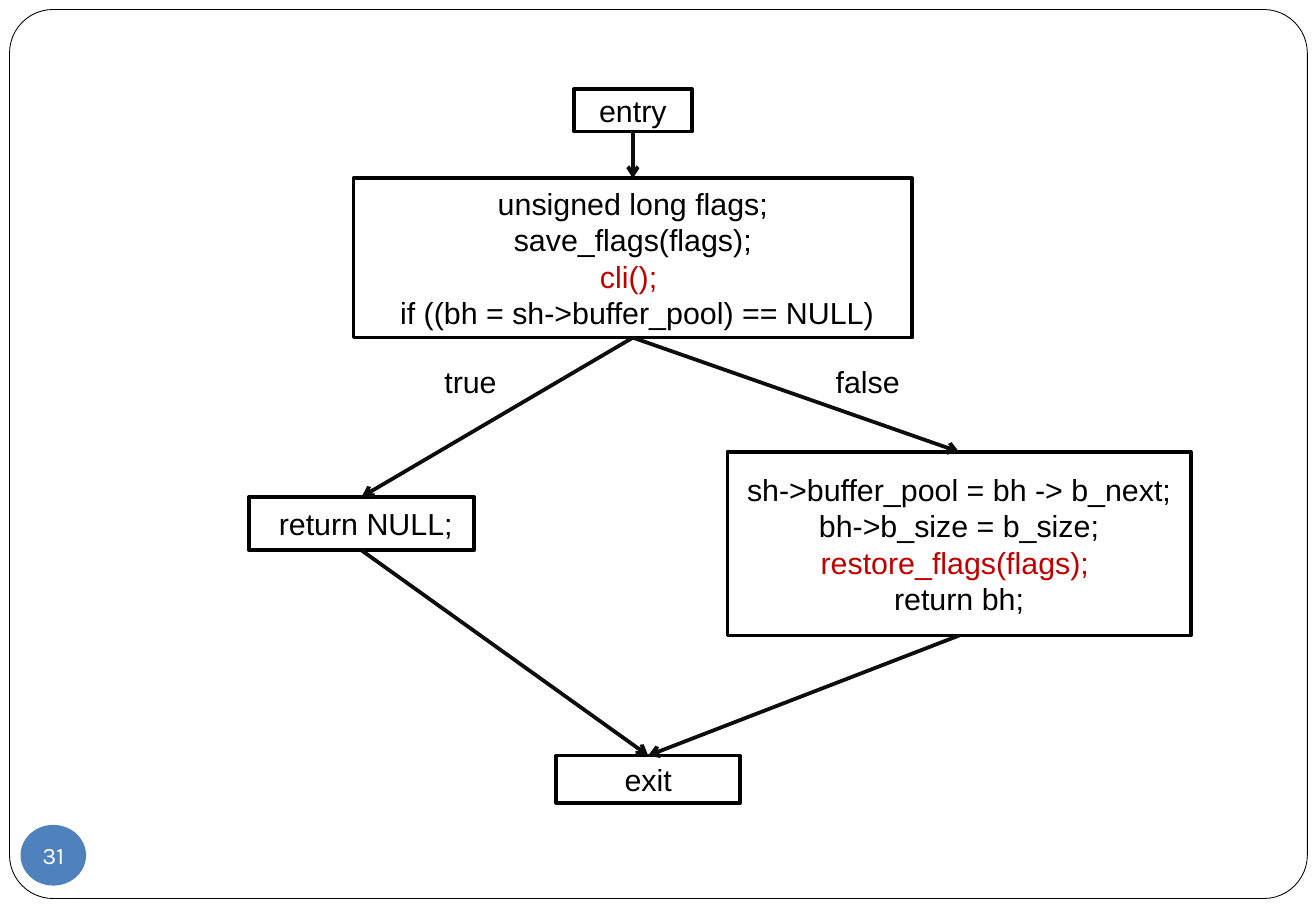
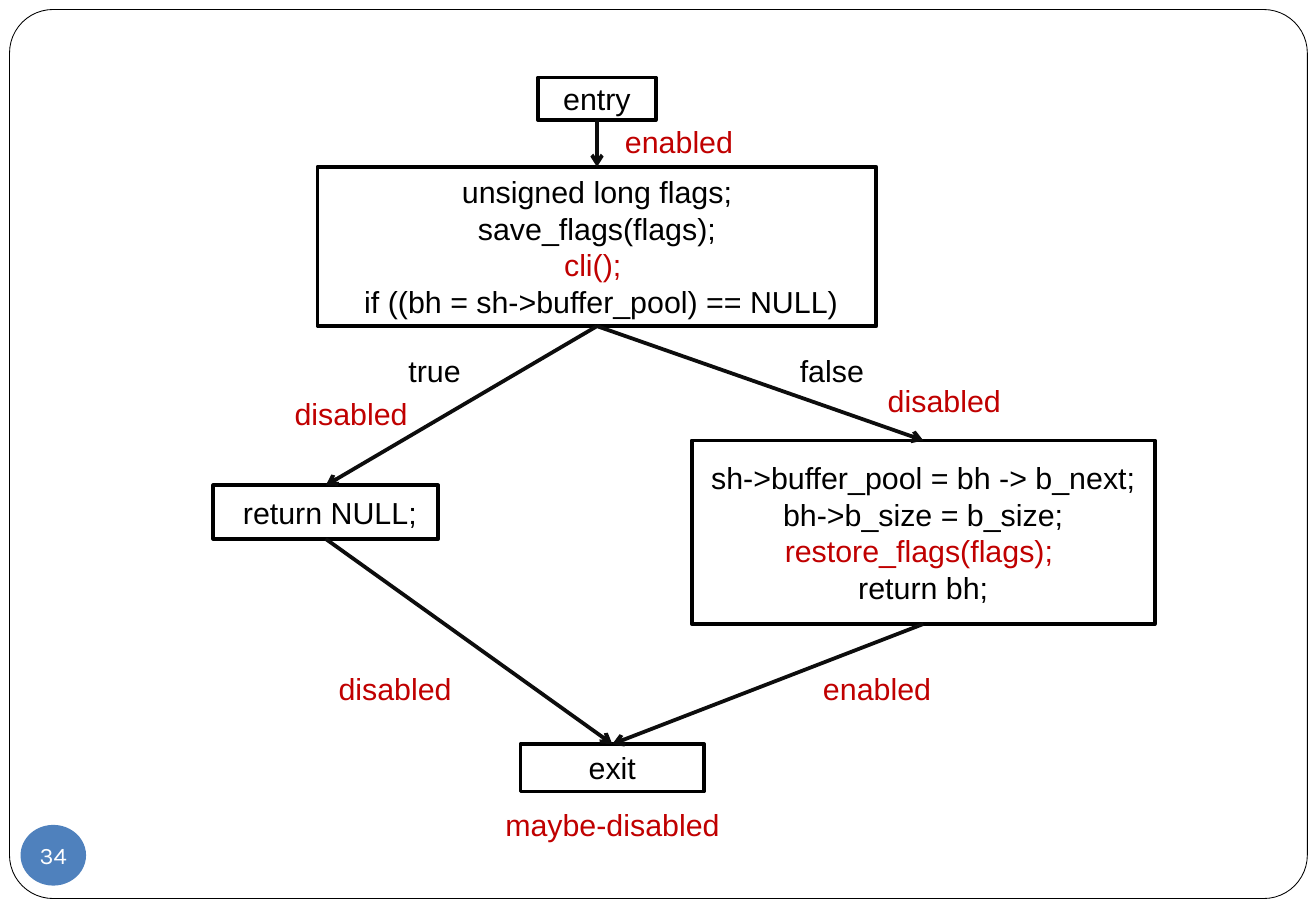
from dataclasses import dataclass

from lxml import etree
from pptx import Presentation
from pptx.dml.color import RGBColor
from pptx.enum import shapes, text
from pptx.oxml import ns
from pptx.shapes.autoshape import Shape
from pptx.slide import Slide
from pptx.text.text import TextFrame
from pptx.util import Cm, Pt

WHITE = RGBColor(0xFF, 0xFF, 0xFF)
BLACK = RGBColor(0x00, 0x00, 0x00)
ARROW = RGBColor(0x0D, 0x0D, 0x0D)
RED = RGBColor(0xC0, 0x00, 0x00)
BLUE = RGBColor(0x4F, 0x81, 0xBD)

CODE_FONT = "Arial"
NUMBER_FONT = "Karla"
LINE_WIDTH = Pt(2.25)
LABEL_HEIGHT = 1.02
TOP, BOTTOM = 0, 2
CENTER, LEFT = text.PP_ALIGN.CENTER, text.PP_ALIGN.LEFT


@dataclass(frozen=True)
class Block:
    """A box of code; lengths are in centimetres."""
    name: str
    left: float
    top: float
    width: float
    height: float
    lines: tuple[str, ...]
    red_line: int | None = None


@dataclass(frozen=True)
class Label:
    words: str
    left: float
    top: float
    width: float
    color: RGBColor = RED
    alignment: text.PP_ALIGN = CENTER


@dataclass(frozen=True)
class FlowSlide:
    number: int
    shift_x: float = 0
    shift_y: float = 0
    states: tuple[Label, ...] = ()


BLOCKS = (
    Block("entry", 12.0, 1.86, 2.46, 0.89, ("entry",)),
    Block("test", 7.39, 3.73, 11.68, 3.33,
          ("unsigned long flags;", "save_flags(flags);", "cli(); ",
           " if ((bh = sh->buffer_pool) == NULL)"), red_line=2),
    Block("exit", 11.63, 15.8, 3.84, 0.99, ("exit",)),
    Block("failure", 5.21, 10.39, 4.7, 1.12, (" return NULL;",)),
    Block("success", 15.21, 9.45, 9.68, 3.84,
          ("sh->buffer_pool = bh -> b_next;", "bh->b_size = b_size;",
           "restore_flags(flags); ", "return bh;"), red_line=2),
)
FLOWS = (("entry", "test"), ("test", "failure"), ("test", "success"),
         ("failure", "exit"), ("success", "exit"))
BRANCHES = (Label("false", 17.22, 7.47, 1.85, BLACK, LEFT),
            Label("true", 9.04, 7.47, 1.63, BLACK, LEFT))
SLIDES = (
    FlowSlide(31),
    FlowSlide(34, -0.75, -0.24, (
        Label("disabled", 5.89, 8.13, 2.9),
        Label("disabled", 18.29, 7.87, 2.9),
        Label("enabled", 12.8, 2.46, 2.79),
        Label("enabled", 16.94, 13.89, 2.79),
        Label("disabled", 6.81, 13.89, 2.9),
        Label("maybe-disabled", 10.29, 16.74, 5.03),
    )),
)


def write_lines(frame: TextFrame, lines: tuple[str, ...], color: RGBColor,
                font: str = CODE_FONT, size: int = 18,
                alignment: text.PP_ALIGN = CENTER) -> None:
    frame.text = "\n".join(lines)
    for paragraph in frame.paragraphs:
        paragraph.alignment = alignment
        for run in paragraph.runs:
            run.font.name = font
            run.font.size = Pt(size)
            run.font.color.rgb = color


def add_filled_shape(slide: Slide, kind: shapes.MSO_SHAPE, left: float, top: float,
                     width: float, height: float, fill: RGBColor) -> Shape:
    shape = slide.shapes.add_shape(kind, Cm(left), Cm(top), Cm(width), Cm(height))
    shape.shadow.inherit = False
    shape.fill.solid()
    shape.fill.fore_color.rgb = fill
    return shape


def add_outlined_box(slide: Slide, left: float, top: float, width: float,
                     height: float, corner: float, line_width: Pt) -> Shape:
    shape = add_filled_shape(slide, shapes.MSO_SHAPE.ROUNDED_RECTANGLE,
                             left, top, width, height, WHITE)
    shape.adjustments[0] = corner
    shape.line.color.rgb = BLACK
    shape.line.width = line_width
    return shape


def add_block(slide: Slide, block: Block, shift_x: float, shift_y: float) -> Shape:
    shape = add_outlined_box(slide, block.left + shift_x, block.top + shift_y,
                             block.width, block.height, 0, LINE_WIDTH)
    frame = shape.text_frame
    frame.word_wrap = True
    frame.vertical_anchor = text.MSO_ANCHOR.MIDDLE
    write_lines(frame, block.lines, BLACK)
    if block.red_line is not None:
        frame.paragraphs[block.red_line].runs[0].font.color.rgb = RED
    return shape


def add_flow(slide: Slide, source: Shape, target: Shape) -> None:
    """Draw an arrow from the bottom of source to the top of target."""
    connector = slide.shapes.add_connector(shapes.MSO_CONNECTOR.STRAIGHT, 0, 0, 0, 0)
    connector.begin_connect(source, BOTTOM)
    connector.end_connect(target, TOP)
    connector.line.color.rgb = ARROW
    connector.line.width = LINE_WIDTH
    properties = connector._element.spPr
    etree.SubElement(properties.find(ns.qn("a:ln")), ns.qn("a:tailEnd"), type="arrow")
    etree.SubElement(properties, ns.qn("a:effectLst"))


def add_label(slide: Slide, label: Label, shift_x: float = 0, shift_y: float = 0) -> None:
    box = slide.shapes.add_textbox(Cm(label.left + shift_x), Cm(label.top + shift_y),
                                   Cm(label.width), Cm(LABEL_HEIGHT))
    frame = box.text_frame
    frame.word_wrap = False
    frame.auto_size = text.MSO_AUTO_SIZE.SHAPE_TO_FIT_TEXT
    write_lines(frame, (label.words,), label.color, alignment=label.alignment)


def add_number_badge(slide: Slide, number: int) -> None:
    badge = add_filled_shape(slide, shapes.MSO_SHAPE.OVAL, 0.43, 17.25, 1.37, 1.27, BLUE)
    badge.line.fill.background()
    frame = badge.text_frame
    frame.margin_left = frame.margin_right = frame.margin_top = frame.margin_bottom = 0
    frame.word_wrap = False
    frame.vertical_anchor = text.MSO_ANCHOR.MIDDLE
    write_lines(frame, (str(number),), WHITE, NUMBER_FONT, 14)


def build_slide(presentation: Presentation, content: FlowSlide) -> None:
    slide = presentation.slides.add_slide(presentation.slide_layouts[6])
    add_outlined_box(slide, 0.2, 0.2, 27.13, 18.59, 0.049, Pt(0.5))
    shift = content.shift_x, content.shift_y
    boxes = {block.name: add_block(slide, block, *shift) for block in BLOCKS}
    for source, target in FLOWS:
        add_flow(slide, boxes[source], boxes[target])
    for branch in BRANCHES:
        add_label(slide, branch, *shift)
    for state in content.states:
        add_label(slide, state)
    add_number_badge(slide, content.number)


def main() -> None:
    presentation = Presentation()
    presentation.slide_width = Cm(27.51)
    presentation.slide_height = Cm(19.05)
    for content in SLIDES:
        build_slide(presentation, content)
    presentation.save("out.pptx")


if __name__ == "__main__":
    main()
